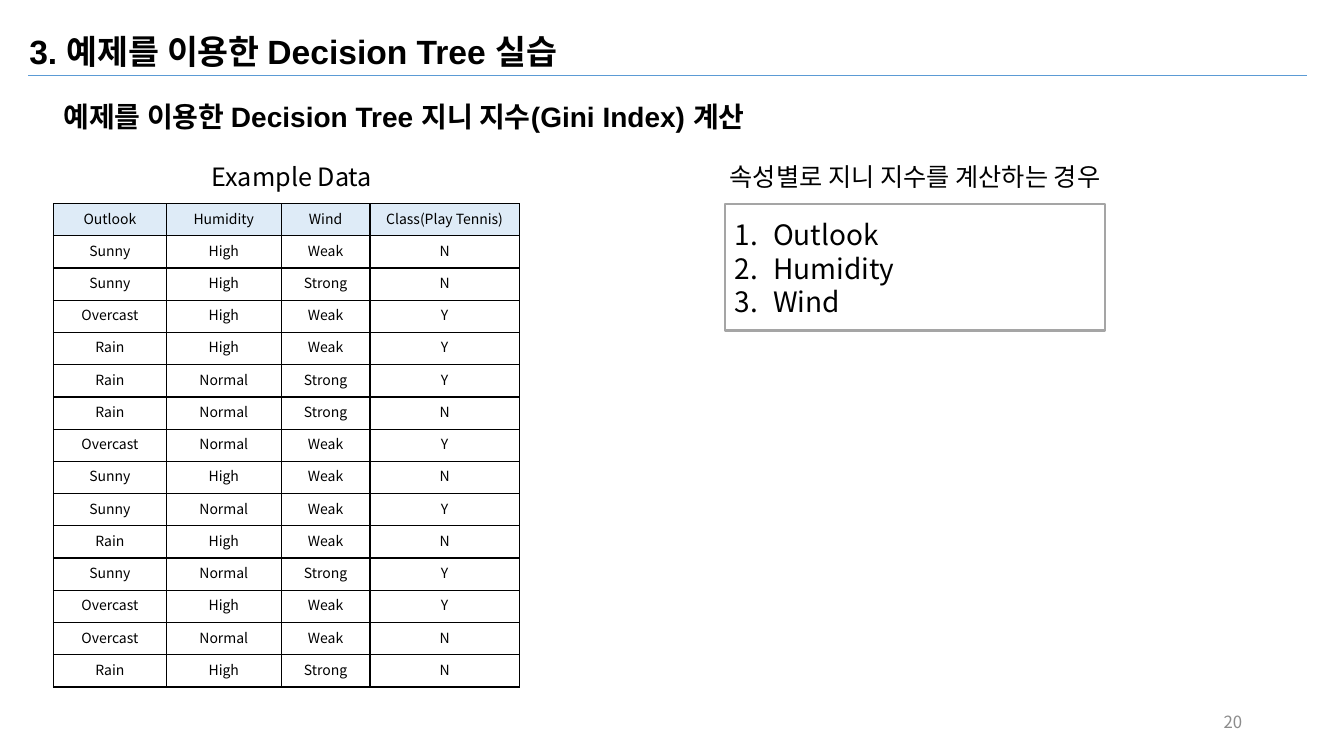
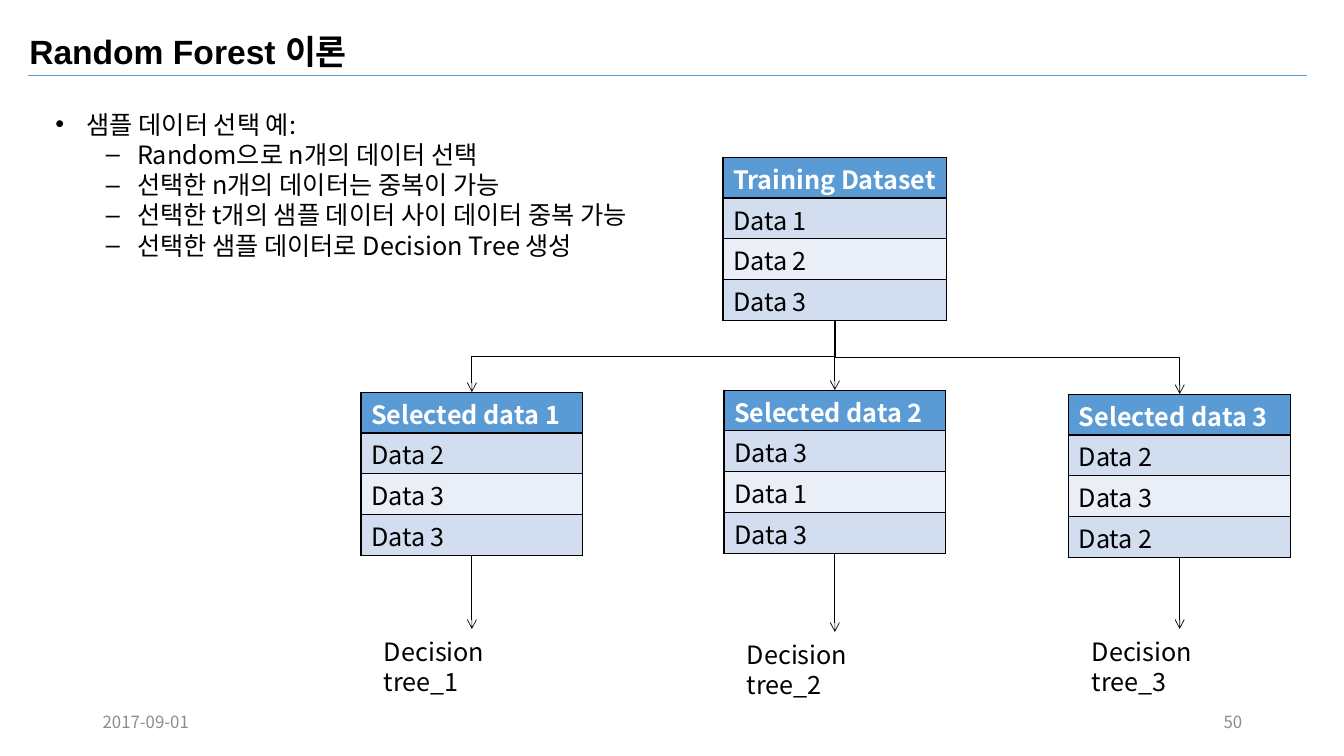
from lxml.etree import SubElement
from pptx import Presentation
from pptx.dml.color import RGBColor
from pptx.enum.shapes import MSO_CONNECTOR, MSO_SHAPE
from pptx.enum.text import MSO_ANCHOR, MSO_AUTO_SIZE, PP_ALIGN
from pptx.oxml.ns import qn
from pptx.util import Pt

PX = 9144  # EMU; 100 px to the inch
WIDTH, HEIGHT = 1333, 750
SANS, HEAD = "Noto Sans CJK KR", "Arial"
BLACK, WHITE, GREY, EDGE = "000000", "FFFFFF", "8C8C8C", "A5A5A5"
BLUE, PALE, MIST, ICE = "5B9BD5", "D2DEEF", "EAEFF7", "DEEBF7"
BANDS = [BLUE, PALE, MIST, PALE]
LEFT, MID, RIGHT = PP_ALIGN.LEFT, PP_ALIGN.CENTER, PP_ALIGN.RIGHT
TOP, CENTRE = MSO_ANCHOR.TOP, MSO_ANCHOR.MIDDLE

PLAIN = {"size": 18, "color": BLACK, "name": SANS, "bold": False}
TITLE = {**PLAIN, "size": 24, "name": HEAD, "bold": True}
SUB = {**TITLE, "size": 20}
LIST = {**PLAIN, "size": 20}
SMALL = {**PLAIN, "size": 10}
FOOT = {**PLAIN, "size": 12, "color": GREY}
CAP = {**PLAIN, "color": WHITE, "bold": True}

TENNIS = """Outlook,Humidity,Wind,Class(Play Tennis)
Sunny,High,Weak,N
Sunny,High,Strong,N
Overcast,High,Weak,Y
Rain,High,Weak,Y
Rain,Normal,Strong,Y
Rain,Normal,Strong,N
Overcast,Normal,Weak,Y
Sunny,High,Weak,N
Sunny,Normal,Weak,Y
Rain,High,Weak,N
Sunny,Normal,Strong,Y
Overcast,High,Weak,Y
Overcast,Normal,Weak,N
Rain,High,Strong,N"""
COLS = [112, 114, 88, 148]
TRAITS = ["Outlook", "Humidity", "Wind"]
POINTS = [
    (0, "샘플 데이터 선택 예:"),
    (1, "Random으로 n개의 데이터 선택"),
    (1, "선택한 n개의 데이터는 중복이 가능"),
    (1, "선택한 t개의 샘플 데이터 사이 데이터 중복 가능"),
    (1, "선택한 샘플 데이터로 Decision Tree 생성"),
]
INDENT = [31, 81]
ROOT = (717, 156, ["Training Dataset", "Data 1", "Data 2", "Data 3"])
# left, top, rows, top of the tree label
PICKS = [
    (358, 389, ["Selected data 1", "Data 2", "Data 3", "Data 3"], 624),
    (718, 387, ["Selected data 2", "Data 3", "Data 1", "Data 3"], 627),
    (1060, 391, ["Selected data 3", "Data 2", "Data 3", "Data 2"], 624),
]


def px(*nums):
    return [int(num * PX) for num in nums]


def rgb(code):
    return RGBColor.from_string(code)


def put(item, form):
    for key, val in form.items():
        setattr(item, key, val)


def write(frame, lines, form, align=LEFT):
    """Fill a text frame or cell frame, one paragraph a line."""
    for num, line in enumerate(lines):
        para = frame.add_paragraph() if num else frame.paragraphs[0]
        put(para, {"alignment": align, "space_before": Pt(0),
                   "line_spacing": Pt(round(form["size"] * 1.2, 1))})
        run = para.add_run()
        run.text = line
        put(run.font, {"size": Pt(form["size"]), "name": form["name"],
                       "bold": form["bold"]})
        run.font.color.rgb = rgb(form["color"])


def fit(shape, box, anchor=TOP):
    put(shape, dict(zip(("left", "top", "width", "height"), px(*box))))
    put(shape.text_frame, {
        "word_wrap": True, "auto_size": MSO_AUTO_SIZE.NONE,
        "vertical_anchor": anchor, "margin_left": 10 * PX,
        "margin_right": 10 * PX, "margin_top": 7 * PX,
        "margin_bottom": 5 * PX})


def label(slide, box, text, form=PLAIN, align=LEFT, anchor=TOP):
    shape = slide.shapes.add_textbox(*px(*box))
    fit(shape, box, anchor)
    write(shape.text_frame, [text], form, align)
    return shape


def indent(para, left, step):
    props = para._p.get_or_add_pPr()
    props.set("marL", str(left * PX))
    props.set("indent", str(-step * PX))
    return props


def border(cell):
    props = cell._tc.get_or_add_tcPr()
    for side in "LRTB":
        line = SubElement(props, qn("a:ln" + side), w=str(Pt(1)))
        fill = SubElement(line, qn("a:solidFill"))
        SubElement(fill, qn("a:srgbClr"), val=BLACK)


def grid(slide, box, rows, cols, style):
    """Add a table; style gives a row's fill, text format and alignment."""
    frame = slide.shapes.add_table(len(rows), len(cols), *px(*box))
    table = frame.table
    for col, wide in zip(table.columns, cols):
        col.width = wide * PX
    for num, row in enumerate(rows):
        fill, form, align, look = style(num)
        for cell, text in zip(table.rows[num].cells, row):
            border(cell)
            put(cell, look)
            if fill:
                cell.fill.solid()
                cell.fill.fore_color.rgb = rgb(fill)
            else:
                cell.fill.background()
            write(cell.text_frame, [text], form, align)
    return frame


def tennis(num):
    return None if num else ICE, SMALL, MID, {"vertical_anchor": CENTRE}


def banded(num):
    look = {"vertical_anchor": TOP, "margin_top": 9 * PX, "margin_bottom": 0}
    return BANDS[num], PLAIN if num else CAP, LEFT, look


def sample(slide, left, top, rows, wide=220):
    box = (left, top, wide, 162)
    return grid(slide, box, [[row] for row in rows], [wide], banded)


def link(slide, ends, kind=MSO_CONNECTOR.STRAIGHT, color=BLACK, tip=True):
    line = slide.shapes.add_connector(kind, *ends)
    line.line.width = Pt(0.5)
    line.line.color.rgb = rgb(color)
    if tip:
        SubElement(line.line._get_or_add_ln(), qn("a:tailEnd"), type="arrow")
    SubElement(line.element.spPr, qn("a:effectLst"))
    return line


def drop(slide, start, end):
    line = link(slide, (0, 0, 0, 0))
    line.begin_connect(start, 2)
    line.end_connect(end, 0)


def bend(slide, start, end):
    """Draw an elbow that leaves downwards, by turning it a quarter."""
    x1, y1 = start.left + start.width // 2, start.top + start.height
    x2, y2 = end.left + end.width // 2, end.top
    wide, tall = y2 - y1, abs(x2 - x1)
    left, top = (x1 + x2 - wide) // 2, (y1 + y2 - tall) // 2
    sides = [left, left + wide]
    if x2 > x1:
        sides.reverse()
    ends = (sides[0], top, sides[1], top + tall)
    line = link(slide, ends, MSO_CONNECTOR.ELBOW)
    turn = 270 if x2 > x1 else 90
    line.element.spPr.find(qn("a:xfrm")).set("rot", str(turn * 60000))


def start(deck, layout, title, page):
    slide = deck.slides.add_slide(deck.slide_layouts[layout])
    fit(slide.shapes.title, (19, 24, 1270, 50))
    write(slide.shapes.title.text_frame, [title], TITLE)
    label(slide, (942, 695, 300, 40), page, FOOT, RIGHT, CENTRE)
    return slide


def gini(deck):
    slide = start(deck, 5, "3. 예제를 이용한 Decision Tree 실습", "20")
    rule = link(slide, px(28, 75, 1296, 75), color=BLUE, tip=False)
    deck.slide_master.element.cSld.spTree.append(rule.element)
    label(slide, (53, 92, 915, 44),
          "예제를 이용한 Decision Tree 지니 지수(Gini Index) 계산", SUB)
    label(slide, (185, 153, 209, 40), "Example Data", align=MID)
    rows = [row.split(",") for row in TENNIS.splitlines()]
    grid(slide, (53, 202, sum(COLS), 480), rows, COLS, tennis)
    label(slide, (668, 153, 479, 40), "속성별로 지니 지수를 계산하는 경우",
          align=MID)
    box = (719, 202, 377, 126)
    panel = slide.shapes.add_shape(MSO_SHAPE.RECTANGLE, *px(*box))
    panel.shadow.inherit = False
    panel.fill.background()
    panel.line.color.rgb = rgb(EDGE)
    panel.line.width = Pt(1.5)
    fit(panel, box, CENTRE)
    write(panel.text_frame, TRAITS, LIST)
    for para in panel.text_frame.paragraphs:
        SubElement(indent(para, 38, 38), qn("a:buAutoNum"),
                   type="arabicPeriod")
    return slide


def forest(deck):
    slide = start(deck, 1, "Random Forest 이론", "50")
    body = slide.placeholders[1]
    fit(body, (45, 101, 1219, 162))
    write(body.text_frame, [text for _, text in POINTS], PLAIN)
    for para, (level, _) in zip(body.text_frame.paragraphs, POINTS):
        para.level = level
        indent(para, INDENT[level], 31)
    root = sample(slide, *ROOT, wide=222)
    for num, (left, top, rows, low) in enumerate(PICKS, 1):
        pick = sample(slide, left, top, rows)
        tree = label(slide, (left + 13, low, 194, 40), f"Decision tree_{num}")
        (drop if num == 2 else bend)(slide, root, pick)
        drop(slide, pick, tree)
    label(slide, (92, 695, 300, 40), "2017-09-01", FOOT, anchor=CENTRE)
    return slide


def main():
    deck = Presentation()
    put(deck, {"slide_width": WIDTH * PX, "slide_height": HEIGHT * PX})
    for slide in (gini(deck), forest(deck)):
        for latin in list(slide.element.iter(qn("a:latin"))):
            east = latin.makeelement(qn("a:ea"), {"typeface": SANS})
            latin.addnext(east)
    deck.save("out.pptx")


if __name__ == "__main__":
    main()
